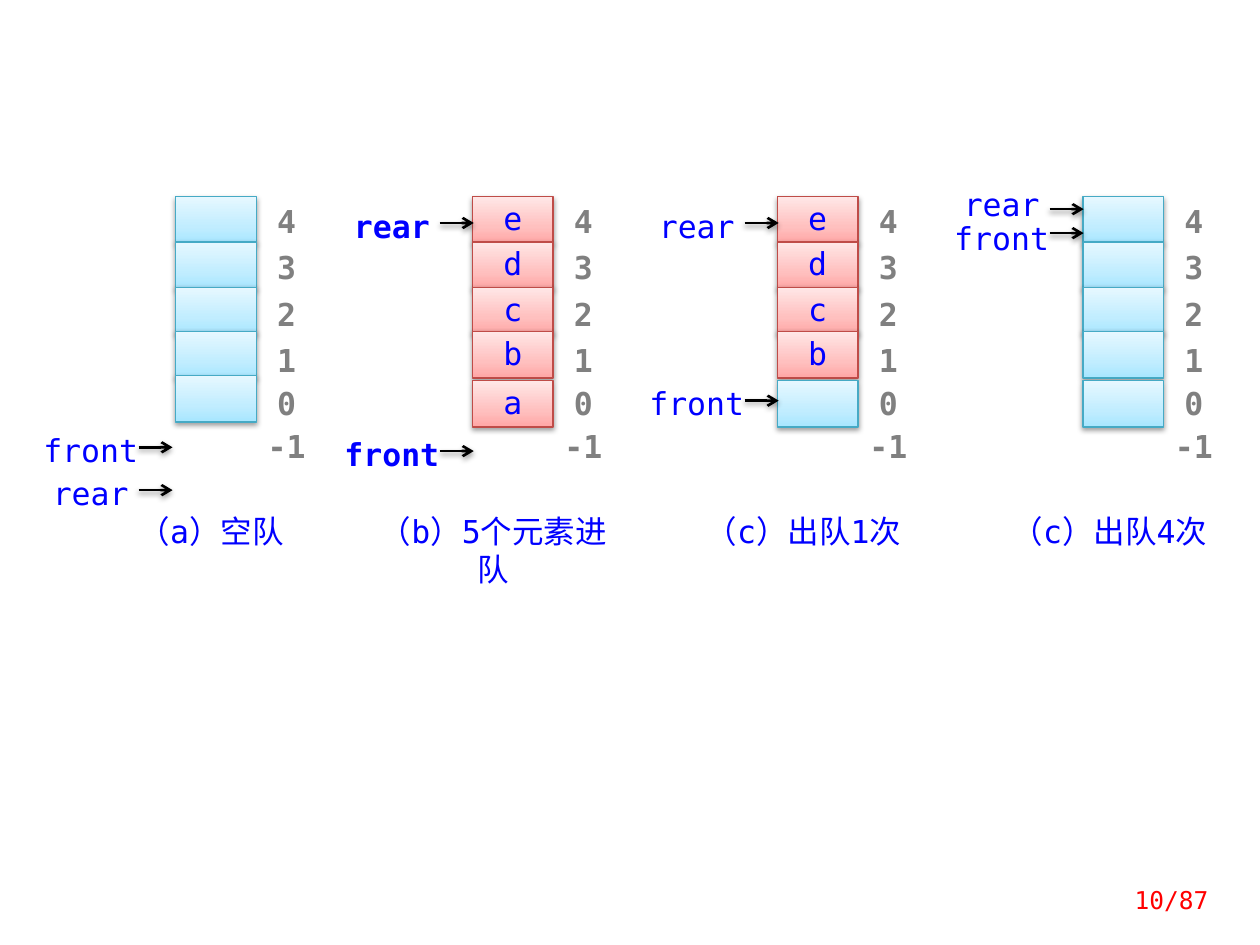
"""Draw the four states of a sequential queue through enqueue and dequeue."""
from dataclasses import dataclass
from typing import NamedTuple

from lxml.etree import SubElement
from pptx import Presentation
from pptx.dml.color import RGBColor
from pptx.enum.shapes import MSO_CONNECTOR, MSO_SHAPE
from pptx.enum.text import MSO_ANCHOR, PP_ALIGN
from pptx.oxml.ns import qn
from pptx.util import Emu, Inches, Pt

SLIDE_W, SLIDE_H = Inches(10), Inches(7.5)
GRID = SLIDE_W // 100
FONT = "DejaVu Sans Mono"
BLUE = RGBColor(0x00, 0x00, 0xFF)
GRAY = RGBColor(0x80, 0x80, 0x80)
RED = RGBColor(0xFF, 0x00, 0x00)
BLACK = RGBColor(0x00, 0x00, 0x00)
WHITE = RGBColor(0xFF, 0xFF, 0xFF)
FREE_LINE = RGBColor(0x46, 0xAA, 0xC5)
USED_LINE = RGBColor(0xBF, 0x4C, 0x48)
FREE_STOPS = (RGBColor(0xA7, 0xE6, 0xFF), RGBColor(0xC1, 0xED, 0xFF), RGBColor(0xE7, 0xF8, 0xFF))
USED_STOPS = (RGBColor(0xFF, 0xA6, 0xA5), RGBColor(0xFF, 0xC0, 0xBF), RGBColor(0xFF, 0xE7, 0xE7))
STOP_POSITIONS = (0, 35000, 100000)

CELL_TOPS = (15.6, 19.2, 22.8, 26.3)
CELL_W, CELL_H = 6.4, 3.7
INDEX_TOPS = {"4": 16, "3": 19.7, "2": 23.4, "1": 27.1, "0": 30.5, "-1": 33.9}
INDEX_OFFSET, INDEX_W, INDEX_H = 7.2, 3.2, 2.7
CAPTION_TOP = 40.65
LABEL_W, LABEL_H = 8.6, 3
ARROW_OFFSET, ARROW_LENGTH = 8.1, 2.7


class Box(NamedTuple):
    """A rectangle in grid columns and rows."""
    left: float
    top: float
    width: float
    height: float


class Pointer(NamedTuple):
    """A named pointer with the rows of its label and arrow."""
    name: str
    label_top: float
    arrow_row: float


@dataclass(frozen=True)
class Queue:
    """One queue state; a blank in items marks a free cell."""
    left: float
    items: str
    caption: str
    caption_left: float
    caption_width: float
    label_left: float
    pointers: tuple[Pointer, ...]
    bottom_top: float = 30.2
    bold: bool = False


QUEUES = (
    Queue(13.95, "     ", "（a）空队", 10.2, 13.1, 2.9,
          (Pointer("front", 34.2, 35.5), Pointer("rear", 37.6, 38.9)), bottom_top=29.8),
    Queue(37.5, "edcba", "（b）5个元素进队", 28.9, 20.5, 26.8,
          (Pointer("rear", 16.4, 17.7), Pointer("front", 34.5, 35.8)), bold=True),
    Queue(61.7, "edcb ", "（c）出队1次", 55.5, 16.5, 51,
          (Pointer("rear", 16.4, 17.7), Pointer("front", 30.5, 31.8))),
    Queue(85.95, "     ", "（c）出队4次", 79.8, 16.5, 75.2,
          (Pointer("rear", 14.7, 16.6), Pointer("front", 17.4, 18.5))),
)


def grid(*counts: float) -> list[Emu]:
    """Turn grid counts into lengths."""
    return [Emu(round(count * GRID)) for count in counts]


def write(shape, text: str, color: RGBColor, size: float = 18, bold: bool = False,
          align: PP_ALIGN = PP_ALIGN.CENTER, margin: float = 0,
          anchor: MSO_ANCHOR = MSO_ANCHOR.TOP, spacing=None) -> None:
    """Put one formatted paragraph into a shape."""
    frame = shape.text_frame
    frame_format = {"word_wrap": True, "vertical_anchor": anchor, "margin_left": Inches(margin),
                    "margin_right": Inches(margin), "margin_top": Inches(margin / 2),
                    "margin_bottom": Inches(margin / 2)}
    for name, value in frame_format.items():
        setattr(frame, name, value)
    paragraph = frame.paragraphs[0]
    paragraph.alignment = align
    paragraph.line_spacing = spacing
    run = paragraph.add_run()
    run.text = text
    for name, value in {"name": FONT, "size": Pt(size), "bold": bold}.items():
        setattr(run.font, name, value)
    run.font.color.rgb = color


def add_shadow(shape) -> None:
    """Give a shape or connector a soft shadow below it."""
    effects = SubElement(shape.element.spPr, qn("a:effectLst"))
    shadow = SubElement(effects, qn("a:outerShdw"), blurRad=str(Pt(3.1)), dist=str(Pt(1.6)),
                        dir="5400000", rotWithShape="0")
    color = SubElement(shadow, qn("a:srgbClr"), val=str(BLACK))
    SubElement(color, qn("a:alpha"), val="38000")


def add_cell(shapes, box: Box, item: str) -> None:
    """Draw a queue cell, red when it holds an item."""
    used = bool(item.strip())
    cell = shapes.add_shape(MSO_SHAPE.RECTANGLE, *grid(*box))
    cell.line.color.rgb = USED_LINE if used else FREE_LINE
    cell.line.width = Pt(0.75)
    properties = cell.element.spPr
    gradient = SubElement(properties, qn("a:gradFill"), rotWithShape="1")
    stops = SubElement(gradient, qn("a:gsLst"))
    for position, color in zip(STOP_POSITIONS, USED_STOPS if used else FREE_STOPS):
        stop = SubElement(stops, qn("a:gs"), pos=str(position))
        SubElement(stop, qn("a:srgbClr"), val=str(color))
    SubElement(gradient, qn("a:lin"), ang="16200000", scaled="0")
    properties.find(qn("a:prstGeom")).addnext(gradient)
    add_shadow(cell)
    if used:
        write(cell, item, BLUE, spacing=Pt(23))


def add_label(shapes, box: Box, text: str, color: RGBColor, bold: bool = False) -> None:
    """Draw a white label."""
    label = shapes.add_shape(MSO_SHAPE.RECTANGLE, *grid(*box))
    label.shadow.inherit = False
    label.fill.solid()
    label.fill.fore_color.rgb = WHITE
    label.line.fill.background()
    write(label, text, color, bold=bold)


def add_pointer(shapes, queue: Queue, pointer: Pointer) -> None:
    """Draw a pointer's label and its arrow."""
    add_label(shapes, Box(queue.label_left, pointer.label_top, LABEL_W, LABEL_H),
              pointer.name, BLUE, queue.bold)
    start = queue.label_left + ARROW_OFFSET
    arrow = shapes.add_connector(MSO_CONNECTOR.STRAIGHT, *grid(
        start, pointer.arrow_row, start + ARROW_LENGTH, pointer.arrow_row))
    arrow.line.color.rgb = BLACK
    arrow.line.width = Pt(1.5)
    SubElement(arrow.element.spPr.find(qn("a:ln")), qn("a:tailEnd"), type="arrow")
    add_shadow(arrow)


def add_queue(slide, queue: Queue) -> None:
    """Draw one queue state as a group."""
    shapes = slide.shapes.add_group_shape().shapes
    for top, item in zip((*CELL_TOPS, queue.bottom_top), queue.items):
        add_cell(shapes, Box(queue.left, top, CELL_W, CELL_H), item)
    for index, top in INDEX_TOPS.items():
        add_label(shapes, Box(queue.left + INDEX_OFFSET, top, INDEX_W, INDEX_H),
                  index, GRAY, True)
    add_label(shapes, Box(queue.caption_left, CAPTION_TOP, queue.caption_width, LABEL_H),
              queue.caption, BLUE)
    for pointer in queue.pointers:
        add_pointer(shapes, queue, pointer)


def main() -> None:
    """Build and save the slide."""
    deck = Presentation()
    deck.slide_width, deck.slide_height = SLIDE_W, SLIDE_H
    slide = deck.slides.add_slide(deck.slide_layouts[6])
    for queue in QUEUES:
        add_queue(slide, queue)
    page_number = slide.shapes.add_textbox(*grid(86.7, 69.4, 10.2, 4))
    write(page_number, "10/87", RED, size=14, align=PP_ALIGN.RIGHT, margin=0.1,
          anchor=MSO_ANCHOR.MIDDLE)
    deck.save("out.pptx")


if __name__ == "__main__":
    main()
